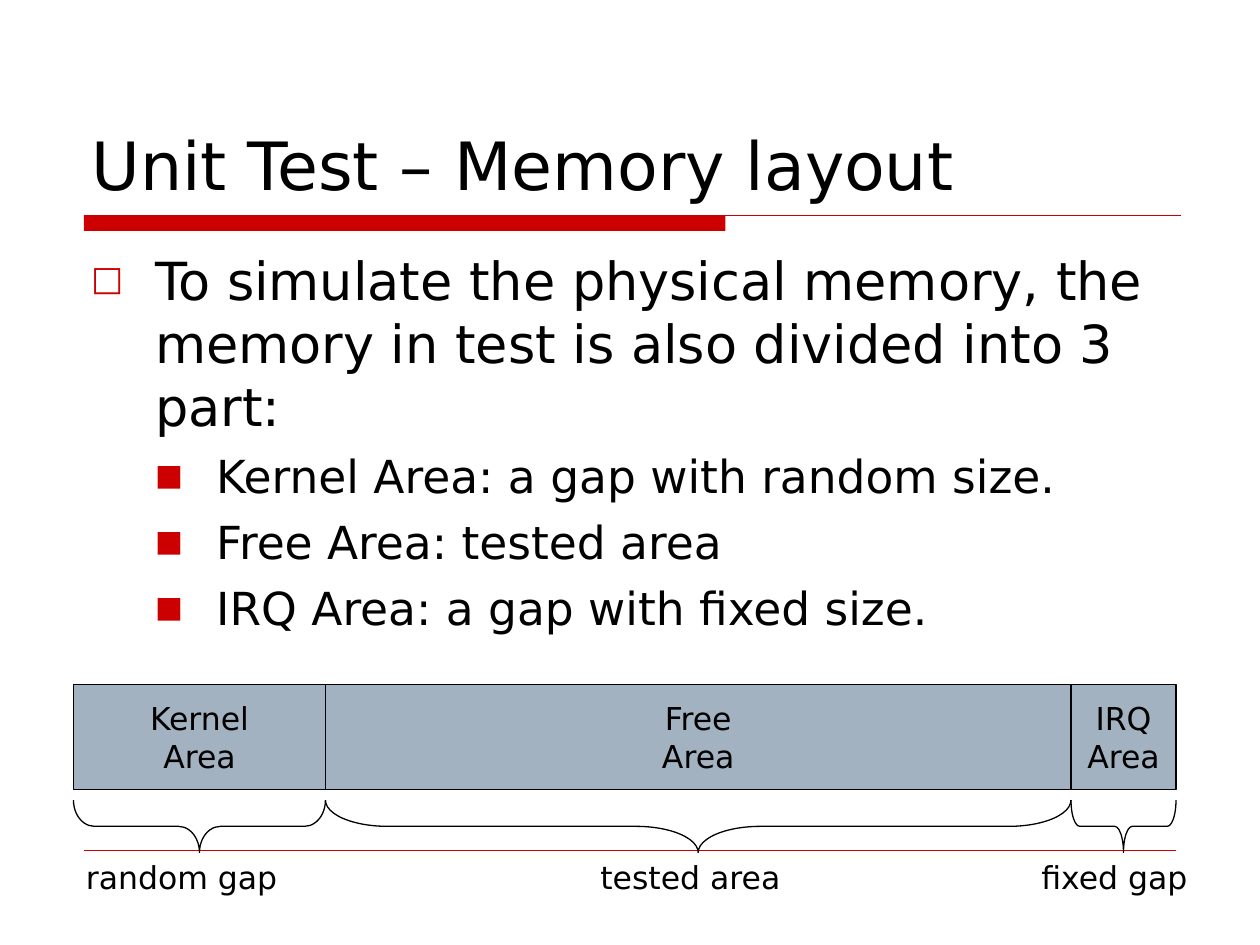
from dataclasses import dataclass

from lxml.etree import SubElement
from pptx import Presentation
from pptx.dml.color import RGBColor
from pptx.enum.shapes import MSO_CONNECTOR, MSO_SHAPE as Shape
from pptx.enum.text import MSO_ANCHOR as Anchor, MSO_AUTO_SIZE as AutoSize, PP_ALIGN as Align
from pptx.oxml.ns import qn
from pptx.util import Emu, Pt

EMU_PER_PX = 914400 // 120
FONT, BLACK, RED, STEEL = "DejaVu Sans", "000000", "CC0000", "A3B2C1"
AREA_LEFT, AREA_TOP, AREA_HEIGHT = 70, 652, 100
BRACE_TOP, BRACE_HEIGHT = 762, 50
LABEL_TOP, LABEL_HEIGHT = 811, 48


@dataclass(frozen=True)
class Area:
    name: str
    width: int
    note: str
    note_left: int
    note_width: int


@dataclass(frozen=True)
class Level:
    size: float
    bullet: str
    margin: int
    hanging: int
    space_before: float


AREAS = [
    Area("Kernel", 240, "random gap", 70, 240),
    Area("Free", 710, "tested area", 560, 210),
    Area("IRQ", 100, "fixed gap", 980, 170),
]
MAIN = Level(30, "□", 61, 61, 0)
SUB = Level(26, "■", 119, 58, 6.5)
BODY = [
    (MAIN, "To simulate the physical memory, the memory in test is also divided into 3 part:"),
    (SUB, "Kernel Area: a gap with random size."),
    (SUB, "Free Area: tested area"),
    (SUB, "IRQ Area: a gap with fixed size."),
]


def px(*lengths: int) -> list[Emu]:
    return [Emu(round(length * EMU_PER_PX)) for length in lengths]


def color(value: str) -> RGBColor:
    return RGBColor.from_string(value)


def set_format(target, **values) -> None:
    for name, value in values.items():
        setattr(target, name, value)


def style_font(paragraph, size: float) -> None:
    set_format(paragraph.font, name=FONT, size=Pt(size))
    paragraph.font.color.rgb = color(BLACK)


def add_rule(slide, left: int, right: int, y: int, width: float) -> None:
    line = slide.shapes.add_connector(MSO_CONNECTOR.STRAIGHT, *px(left, y, right, y))
    line.line.color.rgb = color(RED)
    line.line.width = Pt(width)
    SubElement(line._element.spPr, qn("a:effectLst"))


def add_preset(slide, kind, box: tuple, fill: str | None, line: str | None):
    shape = slide.shapes.add_shape(kind, *px(*box))
    shape.shadow.inherit = False
    if fill:
        shape.fill.solid()
        shape.fill.fore_color.rgb = color(fill)
    else:
        shape.fill.background()
    if line:
        shape.line.color.rgb = color(line)
        shape.line.width = Pt(0.75)
    else:
        shape.line.fill.background()
    return shape


def add_title(slide, text: str) -> None:
    title = slide.shapes.title
    left, top, width, height = px(75, 40, 1050, 160)
    set_format(title, left=left, top=top, width=width, height=height)
    set_format(title.text_frame, text=text, vertical_anchor=Anchor.BOTTOM,
               word_wrap=True, auto_size=AutoSize.NONE)
    paragraph = title.text_frame.paragraphs[0]
    paragraph.alignment = Align.LEFT
    style_font(paragraph, 38)


def add_bullet(paragraph, level: Level) -> None:
    properties = paragraph._p.get_or_add_pPr()
    margin, hanging = px(level.margin, level.hanging)
    properties.set("marL", str(margin))
    properties.set("indent", str(-hanging))
    bullet_color = SubElement(properties, qn("a:buClr"))
    SubElement(bullet_color, qn("a:srgbClr"), val=RED)
    SubElement(properties, qn("a:buSzPct"), val="65000")
    SubElement(properties, qn("a:buFont"), typeface=FONT)
    SubElement(properties, qn("a:buChar"), char=level.bullet)


def add_body(slide) -> None:
    frame = slide.shapes.add_textbox(*px(75, 230, 1050, 400)).text_frame
    frame.word_wrap = True
    frame.text = "\n".join(text for _, text in BODY)
    for paragraph, (level, _) in zip(frame.paragraphs, BODY):
        add_bullet(paragraph, level)
        paragraph.space_before = Pt(level.space_before)
        style_font(paragraph, level.size)


def add_area_box(slide, area: Area, left: int) -> None:
    box = (left, AREA_TOP, area.width, AREA_HEIGHT)
    frame = add_preset(slide, Shape.RECTANGLE, box, STEEL, BLACK).text_frame
    set_format(frame, text=f"{area.name}\nArea", word_wrap=False, vertical_anchor=Anchor.MIDDLE)
    for paragraph in frame.paragraphs:
        paragraph.alignment = Align.CENTER
        style_font(paragraph, 18)


def add_brace(slide, left: int, span: int) -> None:
    """Turn a left brace so that it spans an area and points down."""
    box = (left + (span - BRACE_HEIGHT) / 2, BRACE_TOP + (BRACE_HEIGHT - span) / 2,
           BRACE_HEIGHT, span)
    brace = add_preset(slide, Shape.LEFT_BRACE, box, None, BLACK)
    brace.rotation = 270
    brace.adjustments[0] = span / 12 / BRACE_HEIGHT


def add_note(slide, area: Area) -> None:
    box = px(area.note_left, LABEL_TOP, area.note_width, LABEL_HEIGHT)
    frame = slide.shapes.add_textbox(*box).text_frame
    set_format(frame, text=area.note, word_wrap=True)
    style_font(frame.paragraphs[0], 18)


def main() -> None:
    presentation = Presentation()
    presentation.slide_width, presentation.slide_height = px(1200, 900)
    slide = presentation.slides.add_slide(presentation.slide_layouts[5])

    add_preset(slide, Shape.RECTANGLE, (80, 205, 611, 15), RED, None)
    add_rule(slide, 80, 1125, 205, 0.75)
    add_rule(slide, 80, 1120, 810, 0.25)
    add_title(slide, "Unit Test – Memory layout")
    add_body(slide)

    left = AREA_LEFT
    for area in AREAS:
        add_area_box(slide, area, left)
        add_brace(slide, left, area.width)
        add_note(slide, area)
        left += area.width

    presentation.save("out.pptx")


if __name__ == "__main__":
    main()
